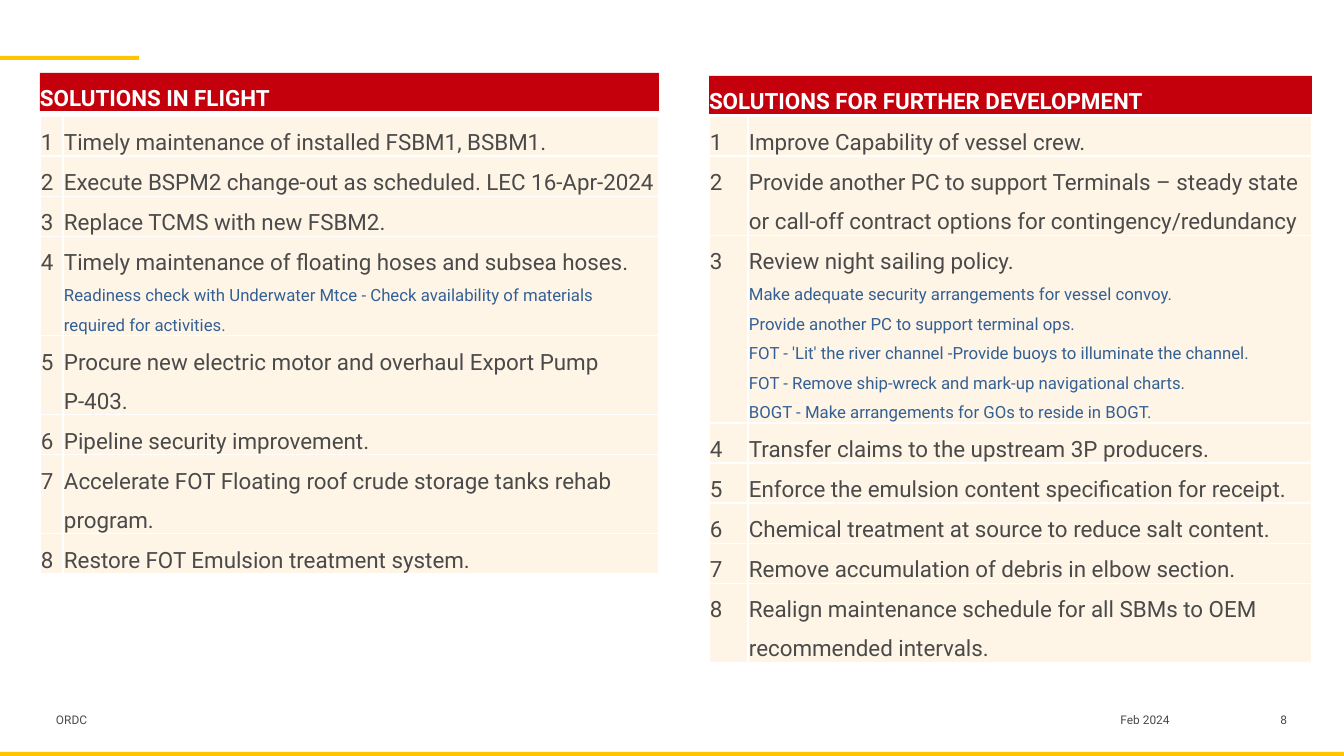
from lxml import etree
from pptx import Presentation
from pptx.dml.color import RGBColor
from pptx.enum.shapes import MSO_SHAPE
from pptx.enum.text import MSO_ANCHOR, PP_ALIGN
from pptx.oxml.ns import qn
from pptx.util import Emu, Pt

RECT = MSO_SHAPE.RECTANGLE
TOP, MIDDLE = MSO_ANCHOR.TOP, MSO_ANCHOR.MIDDLE
LEFT, CENTER, RIGHT = PP_ALIGN.LEFT, PP_ALIGN.CENTER, PP_ALIGN.RIGHT
RED = RGBColor(0xC5, 0x00, 0x0D)
YELLOW = RGBColor(0xFF, 0xC6, 0x00)
CREAM = RGBColor(0xFF, 0xF5, 0xE7)
WHITE = RGBColor(0xFF, 0xFF, 0xFF)
GREY = RGBColor(0x4A, 0x4A, 0x4A)
BLUE = RGBColor(0x33, 0x60, 0x94)
FONT = "Roboto"
SLIDE_W, SLIDE_H = 1344, 756
MAIN_LINE, SUB_LINE = 39, 29
HEADER_H = 38

IN_FLIGHT = [
    ("Timely maintenance of installed FSBM1, BSBM1.", 1, []),
    ("Execute BSPM2 change-out as scheduled. LEC 16-Apr-2024", 1, []),
    ("Replace TCMS with new FSBM2.", 1, []),
    ("Timely maintenance of floating hoses and subsea hoses.", 1, [
        "Readiness check with Underwater Mtce - Check availability of materials "
        "required for activities."]),
    ("Procure new electric motor and overhaul Export Pump P-403.", 2, []),
    ("Pipeline security improvement.", 1, []),
    ("Accelerate FOT Floating roof crude storage tanks rehab program.", 2, []),
    ("Restore FOT Emulsion treatment system.", 1, []),
]
FURTHER = [
    ("Improve Capability of vessel crew.", 1, []),
    ("Provide another PC to support Terminals – steady state or call-off "
     "contract options for contingency/redundancy", 2, []),
    ("Review night sailing policy.", 1, [
        "Make adequate security arrangements for vessel convoy.",
        "Provide another PC to support terminal ops.",
        "FOT - 'Lit' the river channel -Provide buoys to illuminate the channel.",
        "FOT - Remove ship-wreck and mark-up navigational charts.",
        "BOGT - Make arrangements for GOs to reside in BOGT."]),
    ("Transfer claims to the upstream 3P producers.", 1, []),
    ("Enforce the emulsion content specification for receipt.", 1, []),
    ("Chemical treatment at source to reduce salt content.", 1, []),
    ("Remove accumulation of debris in elbow section.", 1, []),
    ("Realign maintenance schedule for all SBMs to OEM recommended intervals.", 2, []),
]


def px(n):
    return Emu(round(n * 914400 / 100.8))


def write(p, text, size=16, color=GREY, bold=False, align=LEFT, spacing=1.0):
    p.alignment = align
    p.line_spacing = spacing
    r = p.add_run()
    r.text = text
    r.font.name = FONT
    r.font.size = Pt(size)
    r.font.bold = bold
    r.font.color.rgb = color


def prepare(tf, anchor, bottom=0):
    tf.margin_left = tf.margin_right = tf.margin_top = 0
    tf.margin_bottom = px(bottom)
    tf.vertical_anchor = anchor
    tf.word_wrap = True
    return tf.paragraphs[0]


def add_bar(s, x, y, w, h, color):
    sp = s.shapes.add_shape(RECT, px(x), px(y), px(w), px(h))
    sp.shadow.inherit = False
    sp.fill.solid()
    sp.fill.fore_color.rgb = color
    sp.line.fill.background()
    return sp


def add_label(s, x, y, w, h, text, align=LEFT):
    sp = s.shapes.add_textbox(px(x), px(y), px(w), px(h))
    write(prepare(sp.text_frame, TOP, 5), text, size=8.5, align=align)


def add_borders(cell):
    tc_pr = cell._tc.get_or_add_tcPr()
    for i, side in enumerate(("a:lnL", "a:lnR", "a:lnT", "a:lnB")):
        ln = etree.Element(qn(side), w=str(Pt(1)))
        fill = etree.SubElement(ln, qn("a:solidFill"))
        etree.SubElement(fill, qn("a:srgbClr"), val=str(WHITE))
        tc_pr.insert(i, ln)


def fill_cell(cell, text, details=()):
    cell.margin_left = cell.margin_right = cell.margin_top = px(1)
    cell.margin_bottom = 0
    cell.vertical_anchor = TOP
    cell.fill.solid()
    cell.fill.fore_color.rgb = CREAM
    add_borders(cell)
    tf = cell.text_frame
    write(tf.paragraphs[0], text, spacing=1.5)
    for detail in details:
        write(tf.add_paragraph(), detail, size=12, color=BLUE, spacing=1.5)


def add_solutions(s, x, y, w, table_y, number_w, heading, items):
    sp = add_bar(s, x, y, w, HEADER_H, RED)
    write(prepare(sp.text_frame, MIDDLE), heading, color=WHITE, bold=True, spacing=1.4)

    heights = [MAIN_LINE * lines + SUB_LINE * (len(details) if len(details) != 1 else 2)
               for _, lines, details in items]
    frame = s.shapes.add_table(len(items), 2, px(x), px(table_y), px(w), px(sum(heights)))
    table = frame.table
    table.first_row = table.horz_banding = False
    table.columns[0].width = px(number_w)
    table.columns[1].width = px(w - number_w)
    for i, (text, _, details) in enumerate(items):
        table.rows[i].height = px(heights[i])
        fill_cell(table.cell(i, 0), str(i + 1))
        fill_cell(table.cell(i, 1), text, details)


def add_footer(s, y):
    add_label(s, 56, y, 370, 26, "ORDC")
    add_label(s, 1066, y, 158, 26, "Feb 2024", CENTER)
    add_label(s, 1248, y, 39, 26, "8", RIGHT)
    add_bar(s, 0, SLIDE_H - 4, SLIDE_W, 4, YELLOW)


def main():
    prs = Presentation()
    prs.slide_width, prs.slide_height = px(SLIDE_W), px(SLIDE_H)
    s = prs.slides.add_slide(prs.slide_layouts[6])
    add_bar(s, -1, 56, 140, 4, YELLOW)
    add_solutions(s, 40, 73, 619, 116, 23, "SOLUTIONS IN FLIGHT", IN_FLIGHT)
    add_solutions(s, 709, 76, 603, 116, 39, "SOLUTIONS FOR FURTHER DEVELOPMENT", FURTHER)
    add_footer(s, 713)
    prs.save("out.pptx")


if __name__ == "__main__":
    main()
